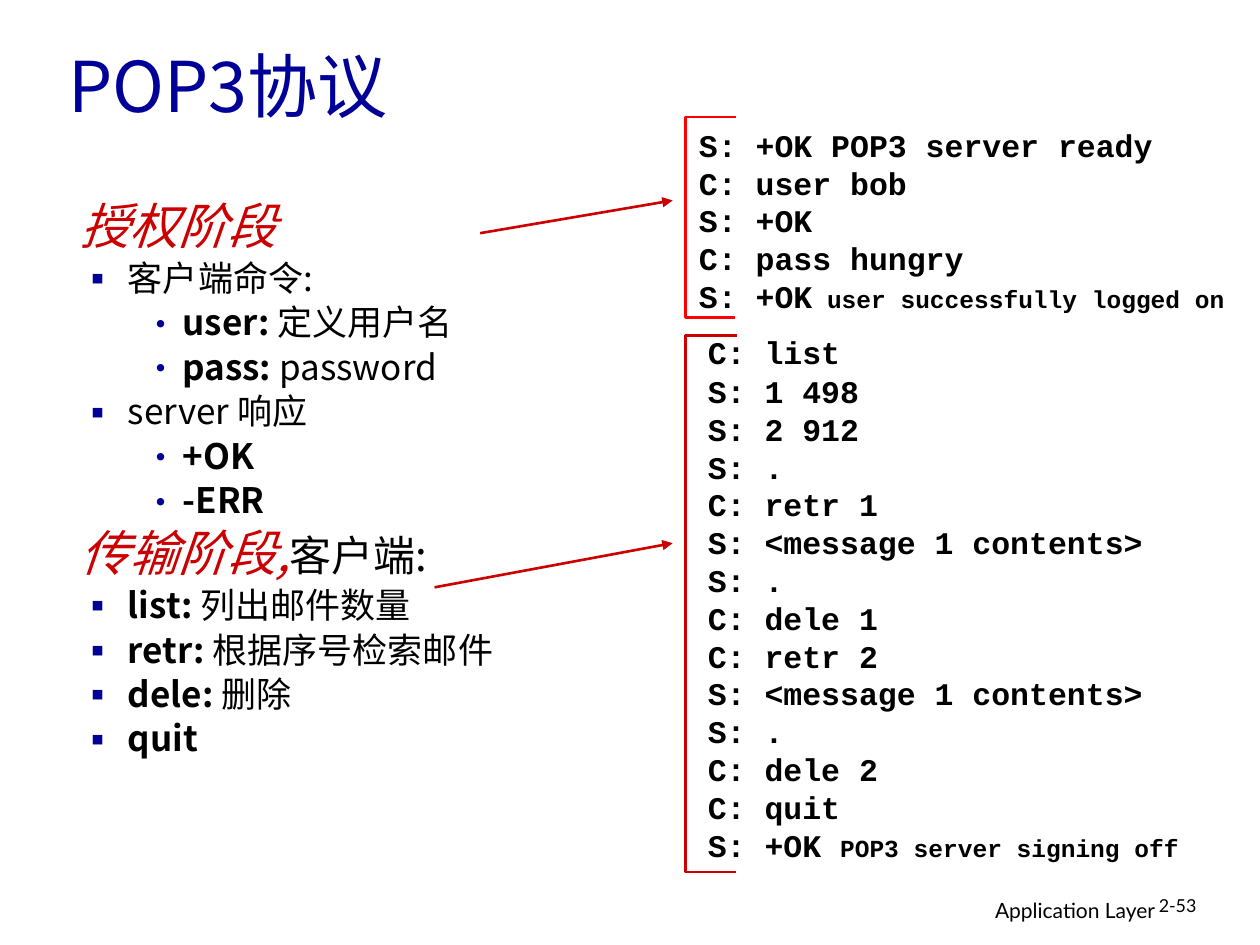
import pptx
import pptx.util
import pptx.dml.color
import pptx.enum.shapes
import pptx.enum.text
import pptx.oxml
import pptx.oxml.ns
from pptx.util import Cm, Pt

SANS, MONO, LATO = "Noto Sans CJK SC", "Courier New", "Lato"
BLUE, RED, BLACK = "000099", "CC0000", "000000"
LEFT = pptx.enum.text.PP_ALIGN.LEFT
RIGHT = pptx.enum.text.PP_ALIGN.RIGHT
NS = pptx.oxml.ns.nsdecls("a")


def rgb(value):
    return pptx.dml.color.RGBColor.from_string(value)


def add_text(p, text, size=20, font=SANS, color=BLACK, bold=False, italic=False):
    r = p.add_run()
    r.text = text
    r.font.size = Pt(size)
    r.font.name = font
    r.font.bold = bold
    r.font.italic = italic
    r.font.color.rgb = rgb(color)
    r.font._element.append(pptx.oxml.parse_xml(f'<a:ea {NS} typeface="{font}"/>'))


prs = pptx.Presentation()
prs.slide_width, prs.slide_height = Cm(25.4), Cm(19.05)
s = prs.slides.add_slide(prs.slide_layouts[5])

title = s.shapes.title
title.left, title.top, title.width, title.height = Cm(1.12), Cm(0.36), Cm(21.59), Cm(2.69)
tf = title.text_frame
tf.auto_size = pptx.enum.text.MSO_AUTO_SIZE.NONE
tf.vertical_anchor = pptx.enum.text.MSO_ANCHOR.MIDDLE
p = tf.paragraphs[0]
p.alignment = LEFT
add_text(p, "POP3协议", size=40, color=BLUE)

for text, size, x, w, align, spacing in [
    ("Application Layer", 12, 15.49, 8.05, RIGHT, 1.0),
    ("2-53", 10.2, 23.11, 1.88, LEFT, 0.9),
]:
    tf = s.shapes.add_textbox(Cm(x), Cm(17.96), Cm(w), Cm(0.78)).text_frame
    tf.word_wrap = True
    p = tf.paragraphs[0]
    p.alignment = align
    p.line_spacing = spacing
    add_text(p, text, size=size, font=LATO)

heading = {"size": 28, "color": RED, "italic": True}
bold = {"bold": True}
outline = [
    (None, 0, [("授权阶段", heading)]),
    ("▪", 5, [("客户端命令:", {})]),
    ("•", 5, [("user: ", bold), ("定义用户名", {})]),
    ("•", 5, [("pass:", bold), (" password", {})]),
    ("▪", 5, [("server 响应", {})]),
    ("•", 5, [("+OK", bold)]),
    ("•", 5, [("-ERR", bold)]),
    (None, 6, [("传输阶段,", heading), ("客户端:", {"size": 24})]),
    ("▪", 5, [("list: ", bold), ("列出邮件数量", {})]),
    ("▪", 5, [("retr: ", bold), ("根据序号检索邮件", {})]),
    ("▪", 5, [("dele: ", bold), ("删除", {})]),
    ("▪", 5, [("quit", bold)]),
]
tf = s.shapes.add_textbox(Cm(1.37), Cm(3.99), Cm(11.02), Cm(12.9)).text_frame
tf.word_wrap = True
for i, (bullet, before, runs) in enumerate(outline):
    p = tf.paragraphs[0] if i == 0 else tf.add_paragraph()
    p.level = 1 if bullet == "•" else 0
    p.line_spacing = 0.85
    p.space_before = Pt(before)
    margin, indent = (2.06, -0.79) if p.level else (0.96, -0.96)
    pPr = p._p.get_or_add_pPr()
    pPr.set("marL", str(Cm(margin)))
    pPr.set("indent", str(Cm(indent)))
    if bullet:
        for xml in [
            f'<a:buClr {NS}><a:srgbClr val="{BLUE}"/></a:buClr>',
            f'<a:buFont {NS} typeface="{SANS}"/>',
            f'<a:buChar {NS} char="{bullet}"/>',
        ]:
            pPr.append(pptx.oxml.parse_xml(xml))
    for text, fmt in runs:
        add_text(p, text, **fmt)

login = [
    ("S: +OK POP3 server ready", ""),
    ("C: user bob", ""),
    ("S: +OK", ""),
    ("C: pass hungry", ""),
    ("S: +OK", " user successfully logged on"),
]
transfer = [
    ("C: list", ""),
    ("S: 1 498", ""),
    ("S: 2 912", ""),
    ("S: .", ""),
    ("C: retr 1", ""),
    ("S: <message 1 contents>", ""),
    ("S: .", ""),
    ("C: dele 1", ""),
    ("C: retr 2", ""),
    ("S: <message 1 contents>", ""),
    ("S: .", ""),
    ("C: dele 2", ""),
    ("C: quit", ""),
    ("S: +OK ", "POP3 server signing off"),
]
for lines, x, y, w, h, gap in [
    (login, 13.84, 2.41, 11.5, 4.07, 0),
    (transfer, 14.02, 6.58, 11.3, 10.92, 1),
]:
    tf = s.shapes.add_textbox(Cm(x), Cm(y), Cm(w), Cm(h)).text_frame
    tf.word_wrap = True
    for i, (line, note) in enumerate(lines):
        p = tf.paragraphs[0] if i == 0 else tf.add_paragraph()
        if i == 1:
            p.space_before = Pt(gap)
        add_text(p, line, size=18, font=MONO, bold=True)
        if note:
            add_text(p, note, size=14, font=MONO, bold=True)

for top, bottom, top_end, bottom_end, color in [
    (2.36, 6.4, 14.83, 14.81, "FF0000"),
    (6.76, 17.58, 14.86, 14.83, RED),
]:
    fb = s.shapes.build_freeform(Cm(top_end), Cm(top))
    corners = [(13.82, top), (13.82, bottom), (bottom_end, bottom)]
    fb.add_line_segments([(Cm(x), Cm(y)) for x, y in corners], close=False)
    sp = fb.convert_to_shape()
    sp.shadow.inherit = False
    sp.fill.background()
    sp.line.color.rgb = rgb(color)
    sp.line.width = Pt(1.5)

for x1, y1, x2, y2 in [(9.68, 4.7, 13.56, 4.04), (8.76, 11.84, 13.56, 10.95)]:
    arrow = s.shapes.add_connector(
        pptx.enum.shapes.MSO_CONNECTOR.STRAIGHT, Cm(x1), Cm(y1), Cm(x2), Cm(y2))
    arrow.line.color.rgb = rgb(RED)
    arrow.line.width = Pt(1.5)
    arrow.line._get_or_add_ln().append(pptx.oxml.parse_xml(f'<a:tailEnd {NS} type="triangle"/>'))
    arrow._element.spPr.append(pptx.oxml.parse_xml(f"<a:effectLst {NS}/>"))

prs.save("out.pptx")
